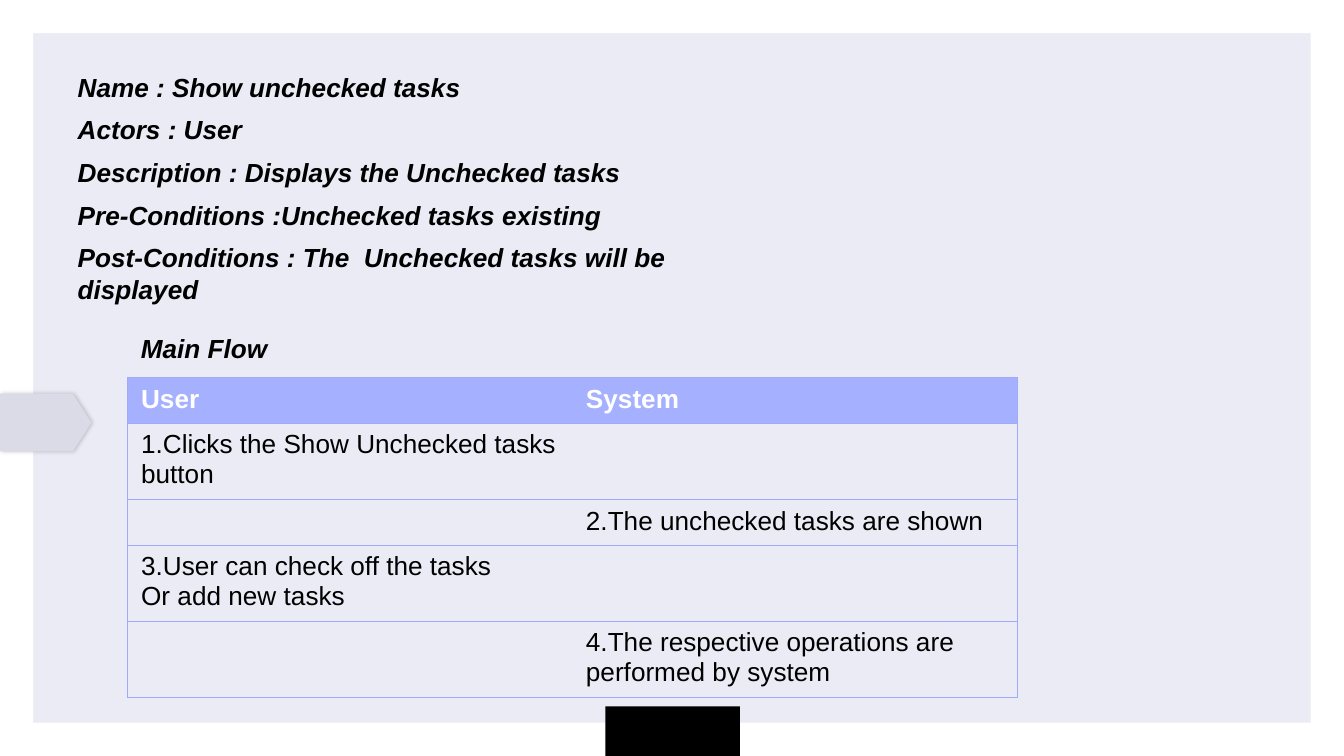
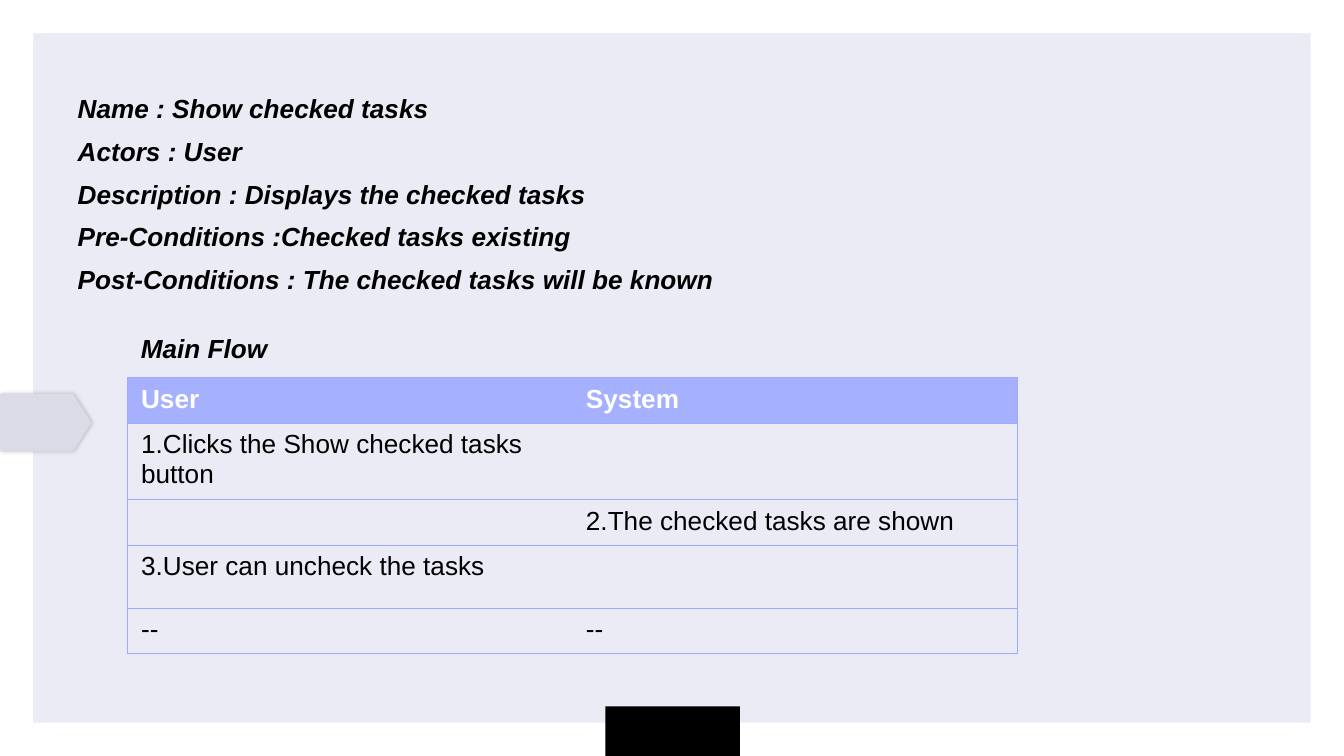
from dataclasses import dataclass

from lxml.etree import SubElement
from pptx import Presentation
from pptx.dml.color import RGBColor
from pptx.enum.shapes import MSO_SHAPE
from pptx.oxml.ns import qn
from pptx.util import Inches, Pt

WIDTH = 10
HEIGHT = WIDTH * 9 / 16


@dataclass(frozen=True)
class Theme:
    background: str = "EAEBF4"
    frame: str = "FFFFFF"
    band: str = "000000"
    tab: str = "DADBE6"
    header: str = "A5B0FF"
    border: str = "9FAAFB"
    text: str = "000000"
    header_text: str = "FFFFFF"
    font: str = "Arial"
    size: float = 14
    gap: float = 6
    rule: float = 0.75


def write(tf, lines, *, theme, color, bold=False, italic=False, gap=0):
    tf.word_wrap = True
    for i, line in enumerate(lines):
        p = tf.paragraphs[0] if i == 0 else tf.add_paragraph()
        p.space_before = Pt(gap)
        if not line:
            SubElement(p._p, qn("a:endParaRPr"), sz=str(int(theme.size * 100)))
            continue
        r = p.add_run()
        r.text = line
        r.font.name = theme.font
        r.font.size = Pt(theme.size)
        r.font.bold = bold
        r.font.italic = italic
        r.font.color.rgb = RGBColor.from_string(color)


class Deck:
    def __init__(self, theme):
        self.theme = theme
        self.prs = Presentation()
        self.prs.slide_width = Inches(WIDTH)
        self.prs.slide_height = Inches(HEIGHT)
        self.s = None

    def new_slide(self):
        t = self.theme
        self.s = self.prs.slides.add_slide(self.prs.slide_layouts[6])
        fill = self.s.background.fill
        fill.solid()
        fill.fore_color.rgb = RGBColor.from_string(t.background)
        self.shape(MSO_SHAPE.FRAME, 0, 0, WIDTH, HEIGHT, t.frame, adjust=0.044)
        self.shape(MSO_SHAPE.RECTANGLE, 4.82, 4.94, 0.37, 1, t.band, rotation=270)
        tab = self.shape(MSO_SHAPE.PENTAGON, 0, 2.93, 0.68, 0.43, t.tab, adjust=0.32)
        self.soft_shadow(tab)

    def shape(self, kind, x, y, w, h, color, *, adjust=None, rotation=0):
        sp = self.s.shapes.add_shape(kind, Inches(x), Inches(y), Inches(w), Inches(h))
        sp.shadow.inherit = False
        sp.fill.solid()
        sp.fill.fore_color.rgb = RGBColor.from_string(color)
        sp.line.fill.background()
        sp.rotation = rotation
        if adjust is not None:
            sp.adjustments[0] = adjust
        return sp

    def soft_shadow(self, sp):
        effects = sp._element.spPr.find(qn("a:effectLst"))
        shadow = SubElement(effects, qn("a:outerShdw"), blurRad=str(Pt(2.2)),
                            dist=str(Pt(0.8)), dir="0", rotWithShape="0")
        color = SubElement(shadow, qn("a:srgbClr"), val="000000")
        SubElement(color, qn("a:alpha"), val="20000")

    def text(self, lines, x, y, w, h):
        sp = self.s.shapes.add_textbox(Inches(x), Inches(y), Inches(w), Inches(h))
        tf = sp.text_frame
        tf.margin_left = tf.margin_right = Inches(0.1)
        tf.margin_top = tf.margin_bottom = Inches(0.1)
        write(tf, lines, theme=self.theme, color=self.theme.text,
              bold=True, italic=True, gap=self.theme.gap)

    def border(self, cell, visible):
        tc_pr = cell._tc.get_or_add_tcPr()
        for i, side in enumerate(("lnL", "lnR", "lnT", "lnB")):
            ln = SubElement(tc_pr, qn(f"a:{side}"), w=str(Pt(self.theme.rule)))
            if side in visible:
                fill = SubElement(ln, qn("a:solidFill"))
                SubElement(fill, qn("a:srgbClr"), val=self.theme.border)
            else:
                SubElement(ln, qn("a:noFill"))
            tc_pr.insert(i, ln)

    def table(self, rows, heights, x, y, w):
        t = self.theme
        frame = self.s.shapes.add_table(len(rows), 2, Inches(x), Inches(y),
                                        Inches(w), Inches(sum(heights)))
        table = frame.table
        table.first_row = table.horz_banding = False
        for column in table.columns:
            column.width = Inches(w / 2)
        for i, (row, height) in enumerate(zip(rows, heights)):
            table.rows[i].height = Inches(height)
            for j, content in enumerate(row):
                cell = table.cell(i, j)
                is_header = i == 0
                if is_header:
                    cell.fill.solid()
                    cell.fill.fore_color.rgb = RGBColor.from_string(t.header)
                else:
                    cell.fill.background()
                self.border(cell, ("lnL" if j == 0 else "lnR", "lnT", "lnB"))
                write(cell.text_frame, content.split("\n"), theme=t, bold=is_header,
                      color=t.header_text if is_header else t.text)

    def use_case(self, details, top, flow, heights):
        self.new_slide()
        self.text(details, 0.48, top, 5.03, 2.1)
        self.table([("User", "System"), *flow], heights, 0.95, 2.81, 6.62)
        self.text(["Main Flow"], 0.95, 2.37, 1.34, 0.44)


def main():
    deck = Deck(Theme())
    deck.use_case(
        ["Name : Show unchecked tasks",
         "Actors : User",
         "Description : Displays the Unchecked tasks",
         "Pre-Conditions :Unchecked tasks existing",
         "Post-Conditions : The  Unchecked tasks will be displayed"],
        0.43,
        [("1.Clicks the Show Unchecked tasks button", ""),
         ("", "2.The unchecked tasks are shown"),
         ("3.User can check off the tasks\nOr add new tasks", ""),
         ("", "4.The respective operations are performed by system")],
        [0.34, 0.47, 0.34, 0.47, 0.47])
    deck.use_case(
        ["Name : Show checked tasks",
         "Actors : User",
         "Description : Displays the checked tasks",
         "Pre-Conditions :Checked tasks existing",
         "Post-Conditions : The checked tasks will be known"],
        0.59,
        [("1.Clicks the Show checked tasks button", ""),
         ("", "2.The checked tasks are shown"),
         ("3.User can uncheck the tasks", ""),
         ("--", "--")],
        [0.34, 0.47, 0.34, 0.47, 0])
    deck.prs.save("out.pptx")


if __name__ == "__main__":
    main()
